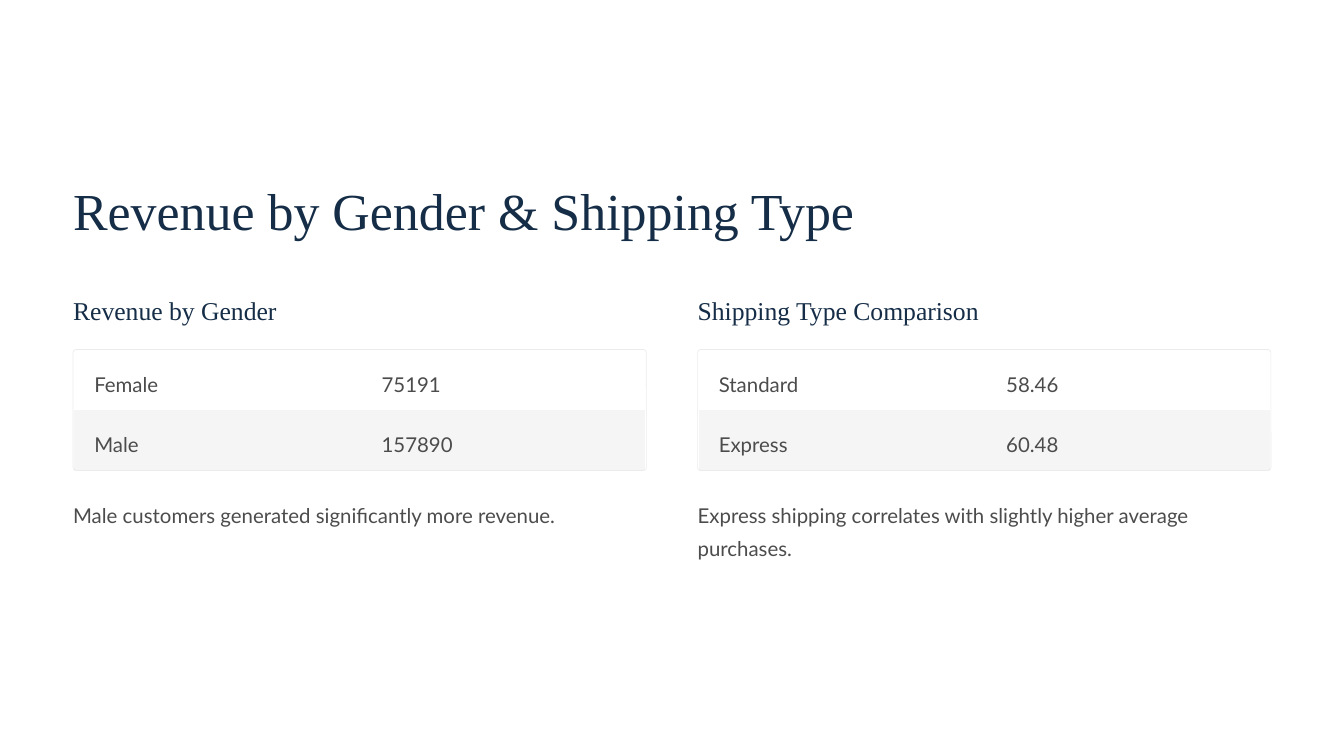
from dataclasses import dataclass

from lxml import etree
from pptx import Presentation
from pptx.dml.color import RGBColor
from pptx.enum.shapes import MSO_SHAPE
from pptx.enum.text import MSO_ANCHOR, MSO_AUTO_SIZE, PP_ALIGN
from pptx.oxml.ns import qn
from pptx.util import Cm, Pt

ROUNDED = MSO_SHAPE.ROUNDED_RECTANGLE
TOP, MIDDLE = MSO_ANCHOR.TOP, MSO_ANCHOR.MIDDLE
NO_FIT = MSO_AUTO_SIZE.NONE
LEFT = PP_ALIGN.LEFT
PLAIN_TABLE = "{2D5ABB26-0587-4C30-8999-92F81FD0307C}"


@dataclass(frozen=True)
class TextStyle:
    font: str
    size: float
    spacing: float
    color: RGBColor


@dataclass(frozen=True)
class Theme:
    title: TextStyle
    heading: TextStyle
    body: TextStyle
    page: RGBColor
    band: RGBColor
    line: RGBColor
    line_opacity: int


NAVY = RGBColor(0x15, 0x2D, 0x47)
THEME = Theme(
    title=TextStyle("Times New Roman", 44.5, 55.5, NAVY),
    heading=TextStyle("Times New Roman", 22, 27.5, NAVY),
    body=TextStyle("Lato", 17.5, 28.5, RGBColor(0x4C, 0x4C, 0x4D)),
    page=RGBColor(0xFF, 0xFF, 0xFF),
    band=RGBColor(0xF5, 0xF5, 0xF5),
    line=RGBColor(0, 0, 0),
    line_opacity=8,
)


def write(frame, text, style):
    frame.text = text
    para = frame.paragraphs[0]
    para.alignment = LEFT
    para.line_spacing = Pt(style.spacing)
    para.space_before = Pt(0)
    para.font.name = style.font
    para.font.size = Pt(style.size)
    para.font.color.rgb = style.color


def fill_text_box(box, text, style):
    frame = box.text_frame
    frame.margin_left = frame.margin_right = 0
    frame.margin_top = frame.margin_bottom = 0
    frame.vertical_anchor = TOP
    frame.auto_size = NO_FIT
    frame.word_wrap = True
    write(frame, text, style)


def add_title(page, left, top, width, height, text):
    title = page.shapes.title
    title.left, title.top, title.width, title.height = left, top, width, height
    fill_text_box(title, text, THEME.title)


def add_text(page, left, top, width, height, text, style):
    box = page.shapes.add_textbox(left, top, width, height)
    fill_text_box(box, text, style)


def add_framed_table(page, left, top, width, height, rows):
    inset = Cm(0.03)
    holder = page.shapes.add_table(
        len(rows), 2, left + inset, top + inset, width - 2 * inset, height - 2 * inset
    )
    table = holder.table
    table.first_row = table.horz_banding = False
    next(holder._element.iter(qn("a:tableStyleId"))).text = PLAIN_TABLE
    table.columns[0].width = Cm(8.69)
    table.columns[1].width = width - 2 * inset - Cm(8.69)
    for row_index, row in enumerate(rows):
        for column_index, text in enumerate(row):
            cell = table.cell(row_index, column_index)
            cell.fill.solid()
            cell.fill.fore_color.rgb = THEME.band if row_index % 2 else THEME.page
            cell.margin_left = cell.margin_right = Cm(0.61)
            cell.margin_top = cell.margin_bottom = 0
            cell.vertical_anchor = MIDDLE
            write(cell.text_frame, text, THEME.body)

    border = page.shapes.add_shape(ROUNDED, left, top, width, height)
    border.adjustments[0] = 0.026
    border.shadow.inherit = False
    border.fill.background()
    border.line.width = Pt(0.6)
    border.line.color.rgb = THEME.line
    color = next(border.line._ln.iter(qn("a:srgbClr")))
    etree.SubElement(color, qn("a:alpha"), val=str(THEME.line_opacity * 1000))


def add_comparison(page, left, top, width, heading, rows, note):
    add_text(page, left, top, width, Cm(0.99), heading, THEME.heading)
    add_framed_table(page, left, top + Cm(1.68), width, Cm(3.66), rows)
    add_text(page, left, top + Cm(6.05), width, Cm(2.01), note, THEME.body)


def main():
    deck = Presentation()
    deck.slide_width, deck.slide_height = Cm(40.64), Cm(22.86)
    page = deck.slides.add_slide(deck.slide_layouts[5])
    page.background.fill.solid()
    page.background.fill.fore_color.rgb = THEME.page

    margin, gap = Cm(2.21), Cm(1.55)
    content_width = deck.slide_width - 2 * margin
    width = (content_width - gap) // 2
    add_title(page, margin, Cm(5.33), content_width, Cm(1.98),
              "Revenue by Gender & Shipping Type")

    comparisons = [
        ("Revenue by Gender",
         [("Female", "75191"), ("Male", "157890")],
         "Male customers generated significantly more revenue."),
        ("Shipping Type Comparison",
         [("Standard", "58.46"), ("Express", "60.48")],
         "Express shipping correlates with slightly higher average purchases."),
    ]
    for index, comparison in enumerate(comparisons):
        left = margin + index * (width + gap)
        add_comparison(page, left, Cm(8.89), width, *comparison)
    deck.save("out.pptx")


if __name__ == "__main__":
    main()
